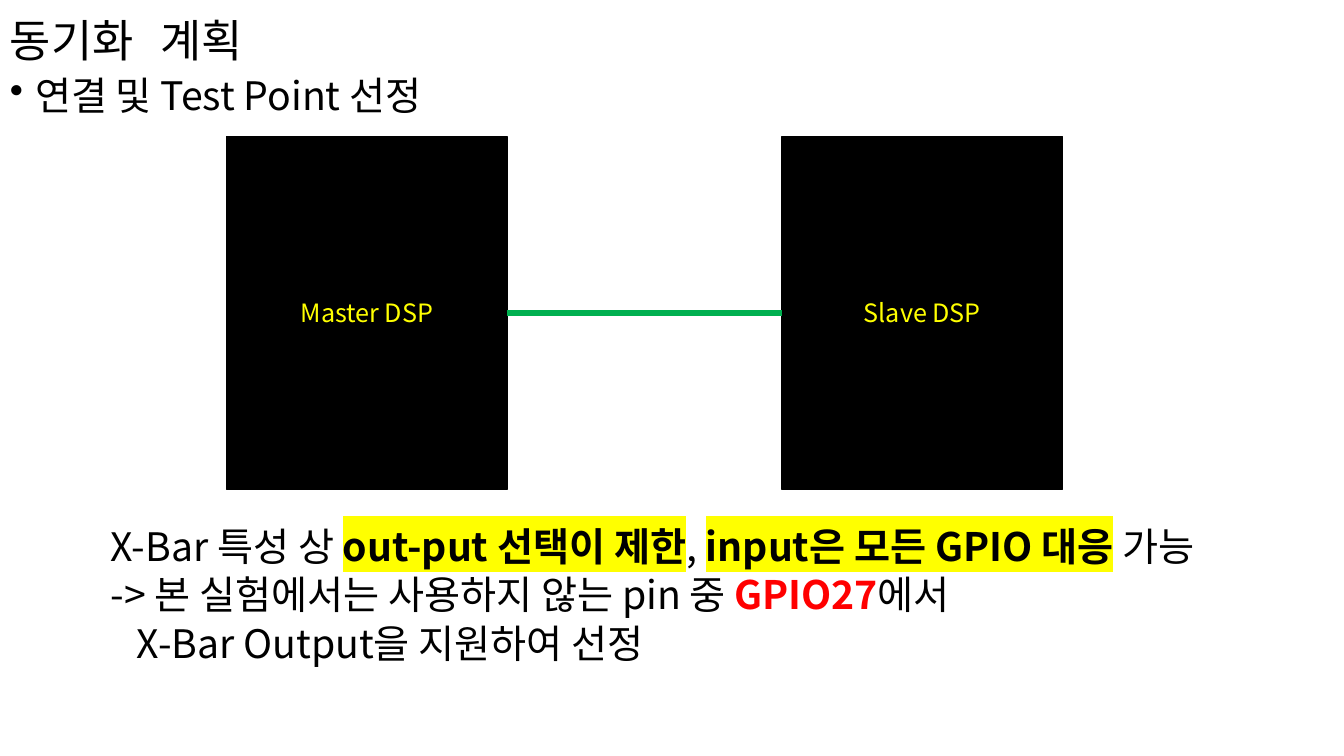
from dataclasses import dataclass

from lxml import etree
from pptx import Presentation
from pptx.dml.color import RGBColor
from pptx.enum.shapes import MSO_CONNECTOR, MSO_SHAPE
from pptx.enum.text import MSO_ANCHOR, PP_ALIGN
from pptx.oxml.ns import qn
from pptx.slide import Slide
from pptx.util import Pt

RECT = MSO_SHAPE.RECTANGLE
STRAIGHT = MSO_CONNECTOR.STRAIGHT
TOP, MIDDLE, BOTTOM = MSO_ANCHOR.TOP, MSO_ANCHOR.MIDDLE, MSO_ANCHOR.BOTTOM
CENTER = PP_ALIGN.CENTER

EMU_PER_PX = 9525
WIDTH, HEIGHT = 1280, 720
BODY_FONT = "Noto Sans CJK KR"
TITLE_FONT = "Noto Sans Mono"
BLACK, YELLOW, RED, GREEN = "000000", "FFFF00", "FF0000", "00B050"
DSP_TOP, DSP_WIDTH, DSP_HEIGHT = 130, 267, 336


@dataclass(frozen=True)
class Span:
    text: str
    color: str = BLACK
    bold: bool = False
    highlight: str = ""


@dataclass(frozen=True)
class Line:
    spans: tuple[Span, ...]
    margin: int = 0
    bullet: str = ""


@dataclass(frozen=True)
class TextBlock:
    top: int
    height: int
    lines: tuple[Line, ...]
    size: int = 28
    font: str = BODY_FONT
    spacing: float = 0.8
    before: int = 8
    anchor: MSO_ANCHOR = TOP


@dataclass(frozen=True)
class Dsp:
    name: str
    left: int


BLOCKS = (
    TextBlock(0, 69, (Line((Span("동기화 계획"),)),), 32, TITLE_FONT, 0.9, 0, BOTTOM),
    TextBlock(72, 55, (Line((Span("연결 및 Test Point 선정"),), 24, "•"),)),
    TextBlock(501, 219, (
        Line((
            Span("X-Bar 특성 상 "),
            Span("out-put 선택이 제한", bold=True, highlight=YELLOW),
            Span(", "),
            Span("input은 모든 GPIO 대응", bold=True, highlight=YELLOW),
            Span(" 가능"),
        ), 96),
        Line((
            Span("-> 본 실험에서는 사용하지 않는 pin 중 "),
            Span("GPIO27", RED, True),
            Span("에서"),
        ), 96),
        Line((Span("X-Bar Output을 지원하여 선정"),), 121),
    )),
)
MASTER = Dsp("Master DSP", 216)
SLAVE = Dsp("Slave DSP", 745)


def px(n: int) -> int:
    return n * EMU_PER_PX


def rgb(color: str) -> RGBColor:
    return RGBColor.from_string(color)


def style_run(r, size: int, font: str, color: str, bold: bool = False) -> None:
    r.font.size = Pt(size)
    r.font.bold = bold
    r.font.color.rgb = rgb(color)
    r.font.name = font
    latin = r.font._element.find(qn("a:latin"))
    ea = etree.Element(qn("a:ea"), typeface=font)
    latin.addnext(ea)


def highlight_run(r, color: str) -> None:
    mark = etree.Element(qn("a:highlight"))
    etree.SubElement(mark, qn("a:srgbClr"), val=color)
    r.font._element.find(qn("a:latin")).addprevious(mark)


def indent(p, line: Line) -> None:
    pPr = p._p.get_or_add_pPr()
    pPr.set("marL", str(px(line.margin)))
    pPr.set("indent", str(-px(line.margin) if line.bullet else 0))
    if line.bullet:
        etree.SubElement(pPr, qn("a:buChar"), char=line.bullet)


def add_block(s: Slide, block: TextBlock) -> None:
    sp = s.shapes.add_textbox(0, px(block.top), px(WIDTH), px(block.height))
    tf = sp.text_frame
    tf.word_wrap = True
    tf.vertical_anchor = block.anchor
    for i, line in enumerate(block.lines):
        p = tf.add_paragraph() if i else tf.paragraphs[0]
        p.line_spacing = block.spacing
        p.space_before = Pt(block.before)
        indent(p, line)
        for span in line.spans:
            r = p.add_run()
            r.text = span.text
            style_run(r, block.size, block.font, span.color, span.bold)
            if span.highlight:
                highlight_run(r, span.highlight)


def add_dsp(s: Slide, dsp: Dsp) -> None:
    sp = s.shapes.add_shape(RECT, px(dsp.left), px(DSP_TOP), px(DSP_WIDTH), px(DSP_HEIGHT))
    sp.shadow.inherit = False
    sp.fill.solid()
    sp.fill.fore_color.rgb = rgb(BLACK)
    sp.line.color.rgb = rgb(BLACK)
    sp.line.width = Pt(1)
    tf = sp.text_frame
    tf.vertical_anchor = MIDDLE
    tf.text = dsp.name
    p = tf.paragraphs[0]
    p.alignment = CENTER
    style_run(p.runs[0], 18, BODY_FONT, YELLOW)


def add_link(s: Slide, start: Dsp, end: Dsp) -> None:
    y = px(DSP_TOP + DSP_HEIGHT // 2)
    link = s.shapes.add_connector(STRAIGHT, px(start.left + DSP_WIDTH), y, px(end.left), y)
    link.line.color.rgb = rgb(GREEN)
    link.line.width = Pt(4.5)
    etree.SubElement(link._element.spPr, qn("a:effectLst"))


def main() -> None:
    prs = Presentation()
    prs.slide_width, prs.slide_height = px(WIDTH), px(HEIGHT)
    s = prs.slides.add_slide(prs.slide_layouts[6])
    for block in BLOCKS:
        add_block(s, block)
    for dsp in (MASTER, SLAVE):
        add_dsp(s, dsp)
    add_link(s, MASTER, SLAVE)
    prs.save("out.pptx")


if __name__ == "__main__":
    main()
